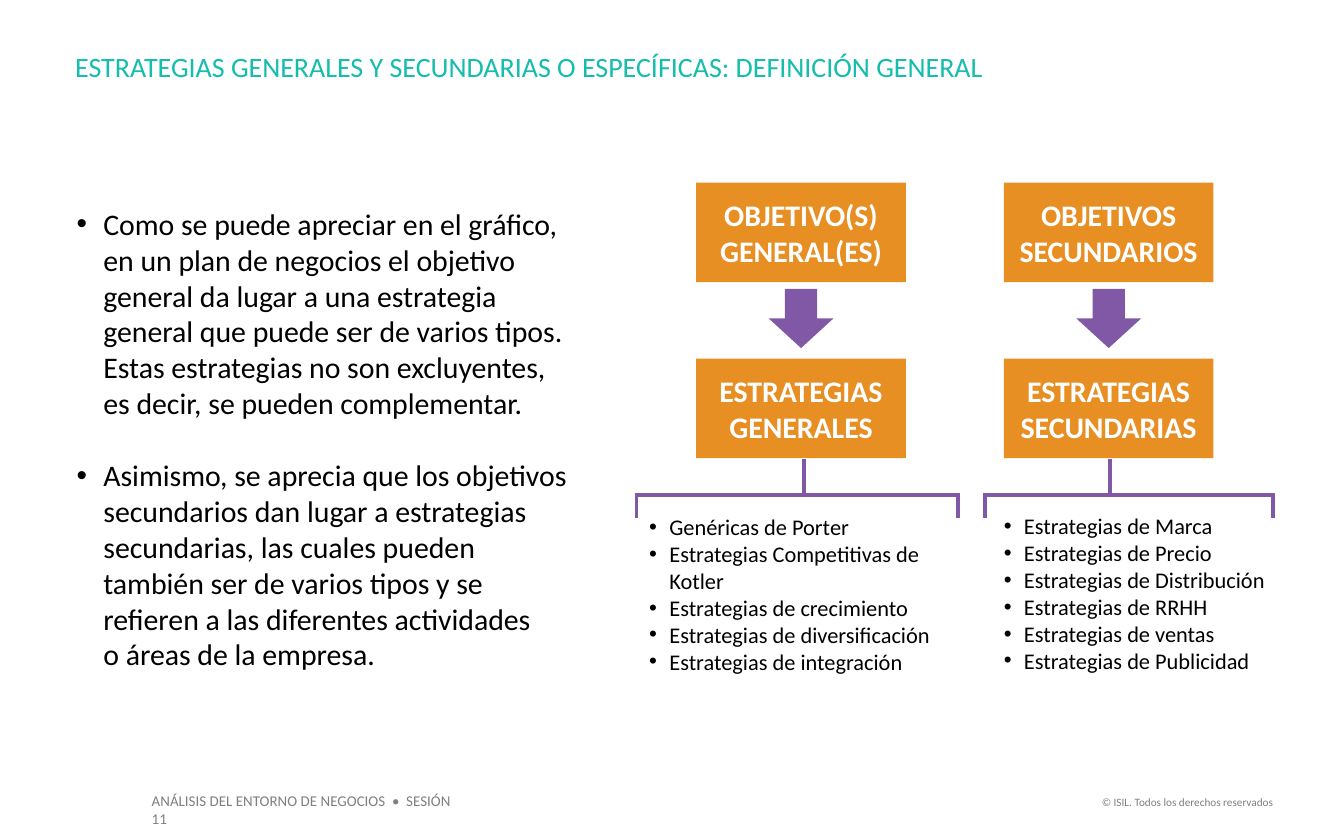
from dataclasses import dataclass

from lxml import etree
from pptx import Presentation
from pptx.dml.color import RGBColor
from pptx.enum.shapes import MSO_CONNECTOR, MSO_SHAPE
from pptx.enum.text import MSO_ANCHOR, PP_ALIGN
from pptx.oxml.ns import qn
from pptx.util import Pt

RECTANGLE, DOWN_ARROW = MSO_SHAPE.RECTANGLE, MSO_SHAPE.DOWN_ARROW
STRAIGHT = MSO_CONNECTOR.STRAIGHT
LEFT, CENTER, RIGHT = PP_ALIGN.LEFT, PP_ALIGN.CENTER, PP_ALIGN.RIGHT
TOP, MIDDLE = MSO_ANCHOR.TOP, MSO_ANCHOR.MIDDLE

TEAL = RGBColor(0x15, 0xBD, 0xAD)
ORANGE = RGBColor(0xE8, 0x8F, 0x23)
PURPLE = RGBColor(0x80, 0x58, 0xA6)
GRAY = RGBColor(0x7F, 0x7F, 0x7F)
BLACK = RGBColor(0, 0, 0)
WHITE = RGBColor(255, 255, 255)

FONT = "Calibri"
BOX_WIDTH, BOX_HEIGHT = 112.3, 53.3
GOAL_TOP, STRATEGY_TOP = 97.9, 192.2
ARROW_WIDTH, ARROW_HEIGHT, ARROW_TOP = 34.6, 31.7, 154.8
STEM_TOP, BAR_TOP, TICK_BOTTOM = 246, 265, 277.7


@dataclass(frozen=True)
class Area:
    left: float
    top: float
    width: float
    height: float


@dataclass(frozen=True)
class Style:
    size: float
    color: RGBColor
    bold: bool = False
    align: PP_ALIGN = LEFT
    indent: float = 0  # hanging indent of a bullet
    gap: float = 0  # space before every paragraph but the first


@dataclass(frozen=True)
class Column:
    left: float
    goal: list[str]
    strategy: list[str]
    branch_left: float
    branch_right: float
    stem: float
    list_area: Area
    examples: list[str]


TITLE = Style(15, TEAL)
BODY = Style(16, BLACK, indent=14.4, gap=19.5)
EXAMPLE = Style(12, BLACK, indent=10.8)
BOX_LABEL = Style(16, WHITE, bold=True, align=CENTER)
SESSION = Style(8, GRAY)
RIGHTS = Style(6, GRAY, align=RIGHT)

EXPLANATION = [
    "Como se puede apreciar en el gráfico, en un plan de negocios el objetivo "
    "general da lugar a una estrategia general que puede ser de varios tipos. "
    "Estas estrategias no son excluyentes, es decir, se pueden complementar.",
    "Asimismo, se aprecia que los objetivos secundarios dan lugar a estrategias "
    "secundarias, las cuales pueden también ser de varios tipos y se refieren a "
    "las diferentes actividades \no áreas de la empresa.",
]

COLUMNS = [
    Column(373, ["OBJETIVO(S)", "GENERAL(ES)"], ["ESTRATEGIAS", "GENERALES"],
           341, 513.4, 430.6, Area(347.8, 275, 172, 87),
           ["Genéricas de Porter", "Estrategias Competitivas de Kotler",
            "Estrategias de crecimiento", "Estrategias de diversificación",
            "Estrategias de integración"]),
    Column(537.8, ["OBJETIVOS", "SECUNDARIOS"], ["ESTRATEGIAS", "SECUNDARIAS"],
           527.5, 681.8, 594.7, Area(537.8, 274.5, 144, 87),
           ["Estrategias de Marca", "Estrategias de Precio",
            "Estrategias de Distribución", "Estrategias de RRHH",
            "Estrategias de ventas", "Estrategias de Publicidad"]),
]


def add_bullet(para, indent: float) -> None:
    properties = para._p.get_or_add_pPr()
    properties.set("marL", str(Pt(indent)))
    properties.set("indent", str(-Pt(indent)))
    font = etree.SubElement(properties, qn("a:buFont"))
    font.set("typeface", "Arial")
    etree.SubElement(properties, qn("a:buChar")).set("char", "•")


def write_text(frame, texts: list[str], style: Style, inset: bool = False,
               anchor: MSO_ANCHOR = TOP) -> None:
    frame.word_wrap = True
    frame.vertical_anchor = anchor
    frame.margin_left = frame.margin_right = Pt(7.2 if inset else 0)
    frame.margin_top = frame.margin_bottom = Pt(3.6 if inset else 0)
    for index, text in enumerate(texts):
        para = frame.add_paragraph() if index else frame.paragraphs[0]
        if style.indent:
            add_bullet(para, style.indent)
        para.alignment = style.align
        if index and style.gap:
            para.space_before = Pt(style.gap)
        for number, line in enumerate(text.split("\n")):
            if number:
                para.add_line_break()
            span = para.add_run()
            span.text = line
            span.font.name = FONT
            span.font.size = Pt(style.size)
            span.font.bold = style.bold
            span.font.color.rgb = style.color


def add_text(page, area: Area, texts: list[str], style: Style,
             inset: bool = False) -> None:
    box = page.shapes.add_textbox(Pt(area.left), Pt(area.top),
                                  Pt(area.width), Pt(area.height))
    write_text(box.text_frame, texts, style, inset)


def add_filled(page, kind: MSO_SHAPE, area: Area, color: RGBColor):
    shape = page.shapes.add_shape(kind, Pt(area.left), Pt(area.top),
                                  Pt(area.width), Pt(area.height))
    shape.shadow.inherit = False
    shape.fill.solid()
    shape.fill.fore_color.rgb = color
    shape.line.fill.background()
    return shape


def add_line(page, x1: float, y1: float, x2: float, y2: float) -> None:
    line = page.shapes.add_connector(STRAIGHT, Pt(x1), Pt(y1), Pt(x2), Pt(y2))
    line.line.color.rgb = PURPLE
    line.line.width = Pt(2)
    etree.SubElement(line._element.spPr, qn("a:effectLst"))


def add_column(page, column: Column) -> None:
    # Objective, arrow and strategy
    for top, label in ((GOAL_TOP, column.goal), (STRATEGY_TOP, column.strategy)):
        area = Area(column.left, top, BOX_WIDTH, BOX_HEIGHT)
        box = add_filled(page, RECTANGLE, area, ORANGE)
        write_text(box.text_frame, label, BOX_LABEL, True, MIDDLE)
    arrow_left = column.left + (BOX_WIDTH - ARROW_WIDTH) / 2
    add_filled(page, DOWN_ARROW,
               Area(arrow_left, ARROW_TOP, ARROW_WIDTH, ARROW_HEIGHT), PURPLE)

    # Bracket over the examples
    left, right = column.branch_left, column.branch_right
    add_line(page, left - 1, BAR_TOP, right + 1, BAR_TOP)
    for x in (left, right):
        add_line(page, x, BAR_TOP, x, TICK_BOTTOM)
    add_line(page, column.stem, STEM_TOP, column.stem, BAR_TOP)

    add_text(page, column.list_area, column.examples, EXAMPLE)


def main() -> None:
    deck = Presentation()
    deck.slide_width, deck.slide_height = Pt(720), Pt(450)
    page = deck.slides.add_slide(deck.slide_layouts[6])

    # Title and explanation
    add_text(page, Area(40.3, 26.6, 582, 18),
             ["ESTRATEGIAS GENERALES Y SECUNDARIAS O ESPECÍFICAS: "
              "DEFINICIÓN GENERAL"], TITLE)
    add_text(page, Area(41, 110.2, 265, 252), EXPLANATION, BODY)

    # Diagram
    for column in COLUMNS:
        add_column(page, column)

    # Footer
    add_text(page, Area(74.2, 420.5, 184.3, 17.3),
             ["ANÁLISIS DEL ENTORNO DE NEGOCIOS  •  SESIÓN 11"], SESSION, True)
    add_text(page, Area(579.6, 422.6, 109.4, 14.4),
             ["© ISIL. Todos los derechos reservados"], RIGHTS, True)

    deck.save("out.pptx")


if __name__ == "__main__":
    main()
